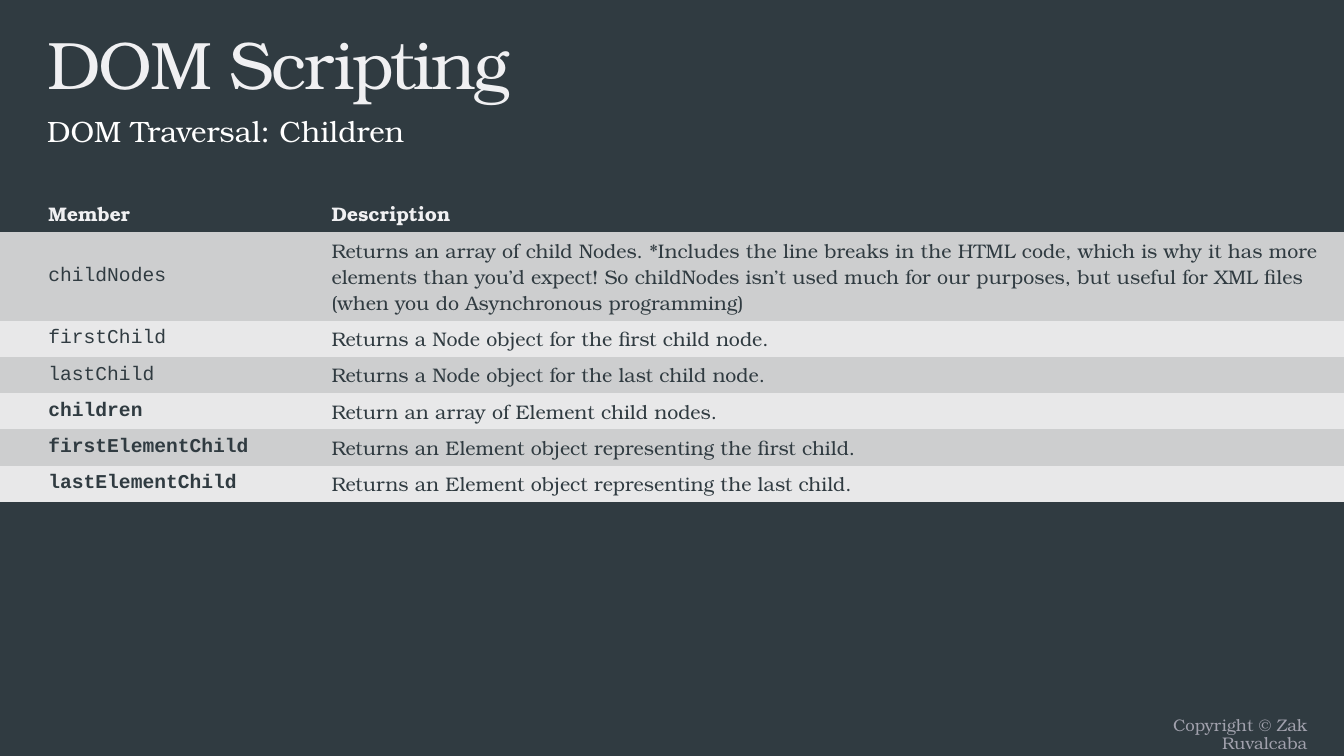
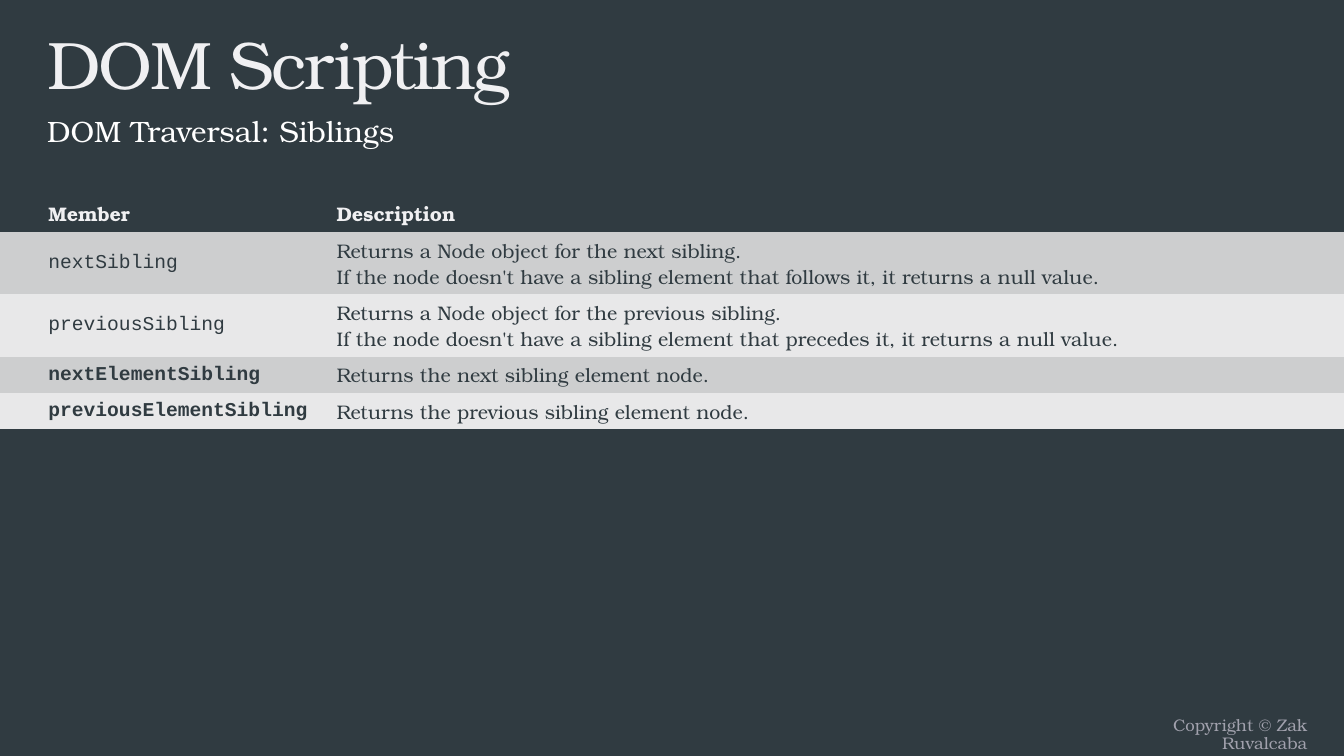
from pptx import Presentation
from pptx.dml.color import RGBColor
from pptx.enum import text
from pptx.oxml.ns import qn
from pptx.util import Pt

# Shared style
SLATE = RGBColor(0x30, 0x3B, 0x41)
WHITE = RGBColor(0xFF, 0xFF, 0xFF)
PALE = RGBColor(0xF0, 0xF0, 0xF2)
MUTED = RGBColor(0xA1, 0xA1, 0xAD)
BANDS = (RGBColor(0xCD, 0xCE, 0xCF), RGBColor(0xE8, 0xE8, 0xE9))
SERIF, MONO = "TeX Gyre Bonum", "Courier New"
NO_GRID = "{2D5ABB26-0587-4C30-8999-92F81FD0307C}"

# Layout in points
WIDTH, HEIGHT = 960, 540
TABLE_TOP, HEADER_H = 138.24, 27.5
LINE_H, CELL_PAD = 18.7, 7.2
MEMBER_INSET = 34.56

# Content
TITLE = "DOM Scripting"
FOOTER = "Copyright © Zak Ruvalcaba"
HEADER = ("Member", "Description")
# Each row: member, is bold, description, lines of text
SLIDES = [
    {
        "subtitle": "DOM Traversal: Children",
        "member_width": 229.68,
        "rows": [
            ("childNodes", False,
             "Returns an array of child Nodes. *Includes the line breaks in the "
             "HTML code, which is why it has more elements than you’d expect! "
             "So childNodes isn’t used much for our purposes, but useful for "
             "XML files (when you do Asynchronous programming)", 3),
            ("firstChild", False, "Returns a Node object for the first child node.", 1),
            ("lastChild", False, "Returns a Node object for the last child node.", 1),
            ("children", True, "Return an array of Element child nodes.", 1),
            ("firstElementChild", True,
             "Returns an Element object representing the first child.", 1),
            ("lastElementChild", True,
             "Returns an Element object representing the last child.", 1),
        ],
    },
    {
        "subtitle": "DOM Traversal: Siblings",
        "member_width": 233.28,
        "rows": [
            ("nextSibling", False,
             "Returns a Node object for the next sibling.\n"
             "If the node doesn't have a sibling element that follows it, "
             "it returns a null value.", 2),
            ("previousSibling", False,
             "Returns a Node object for the previous sibling.\n"
             "If the node doesn't have a sibling element that precedes it, "
             "it returns a null value.", 2),
            ("nextElementSibling", True, "Returns the next sibling element node.", 1),
            ("previousElementSibling", True,
             "Returns the previous sibling element node.", 1),
        ],
    },
]


def write(tf, content, *, size=14, color=SLATE, font=SERIF, bold=False,
          align=None, line_spacing=None, tracking=None):
    """Fill a text frame, one paragraph per line of content."""
    for i, line in enumerate(content.split("\n")):
        p = tf.add_paragraph() if i else tf.paragraphs[0]
        p.alignment, p.line_spacing = align, line_spacing
        r = p.add_run()
        r.text = line
        r.font.size, r.font.name, r.font.bold = Pt(size), font, bold
        r.font.color.rgb = color
        if tracking is not None:
            r.font._element.set("spc", str(round(tracking * 100)))


def add_text(s, content, box, top_inset=3.6, **style):
    tf = s.shapes.add_textbox(*map(Pt, box)).text_frame
    tf.word_wrap = True
    tf.margin_top = Pt(top_inset)
    write(tf, content, **style)


def fill_cell(cell, content, fill, **style):
    cell.fill.solid()
    cell.fill.fore_color.rgb = fill
    cell.vertical_anchor = text.MSO_ANCHOR.MIDDLE
    write(cell.text_frame, content, **style)


def add_member_table(s, rows, member_width):
    heights = [HEADER_H] + [CELL_PAD + LINE_H * row[3] for row in rows]
    frame = s.shapes.add_table(len(heights), 2, 0, Pt(TABLE_TOP),
                               Pt(WIDTH), Pt(sum(heights)))
    tbl = frame.table
    tbl.horz_banding = False
    tbl._tbl.tblPr.find(qn("a:tableStyleId")).text = NO_GRID
    tbl.columns[0].width = Pt(member_width)
    tbl.columns[1].width = Pt(WIDTH - member_width)
    for row, height in zip(tbl.rows, heights):
        row.height = Pt(height)
        row.cells[0].margin_left = Pt(MEMBER_INSET)

    for col, label in enumerate(HEADER):
        fill_cell(tbl.cell(0, col), label, SLATE, color=PALE, bold=True)
    for i, (member, bold, description, _) in enumerate(rows):
        band = BANDS[i % 2]
        fill_cell(tbl.cell(i + 1, 0), member, band, font=MONO, bold=bold)
        fill_cell(tbl.cell(i + 1, 1), description, band)


def main():
    prs = Presentation()
    prs.slide_width, prs.slide_height = Pt(WIDTH), Pt(HEIGHT)
    background = prs.slide_master.background.fill
    background.solid()
    background.fore_color.rgb = SLATE

    for content in SLIDES:
        s = prs.slides.add_slide(prs.slide_layouts[6])
        # Footer and headings
        add_text(s, FOOTER, (776.16, 508.32, 164.88, 22.32), size=12,
                 color=MUTED, align=text.PP_ALIGN.RIGHT, line_spacing=0.9)
        add_text(s, TITLE, (26.64, 15.12, 846.72, 56.88), top_inset=1,
                 size=48, color=PALE, tracking=-1.5)
        add_text(s, content["subtitle"], (26.64, 71.28, 846.72, 28.08),
                 top_inset=9.5, size=21, color=WHITE)
        # Member table
        add_member_table(s, content["rows"], content["member_width"])

    prs.save("out.pptx")


if __name__ == "__main__":
    main()
